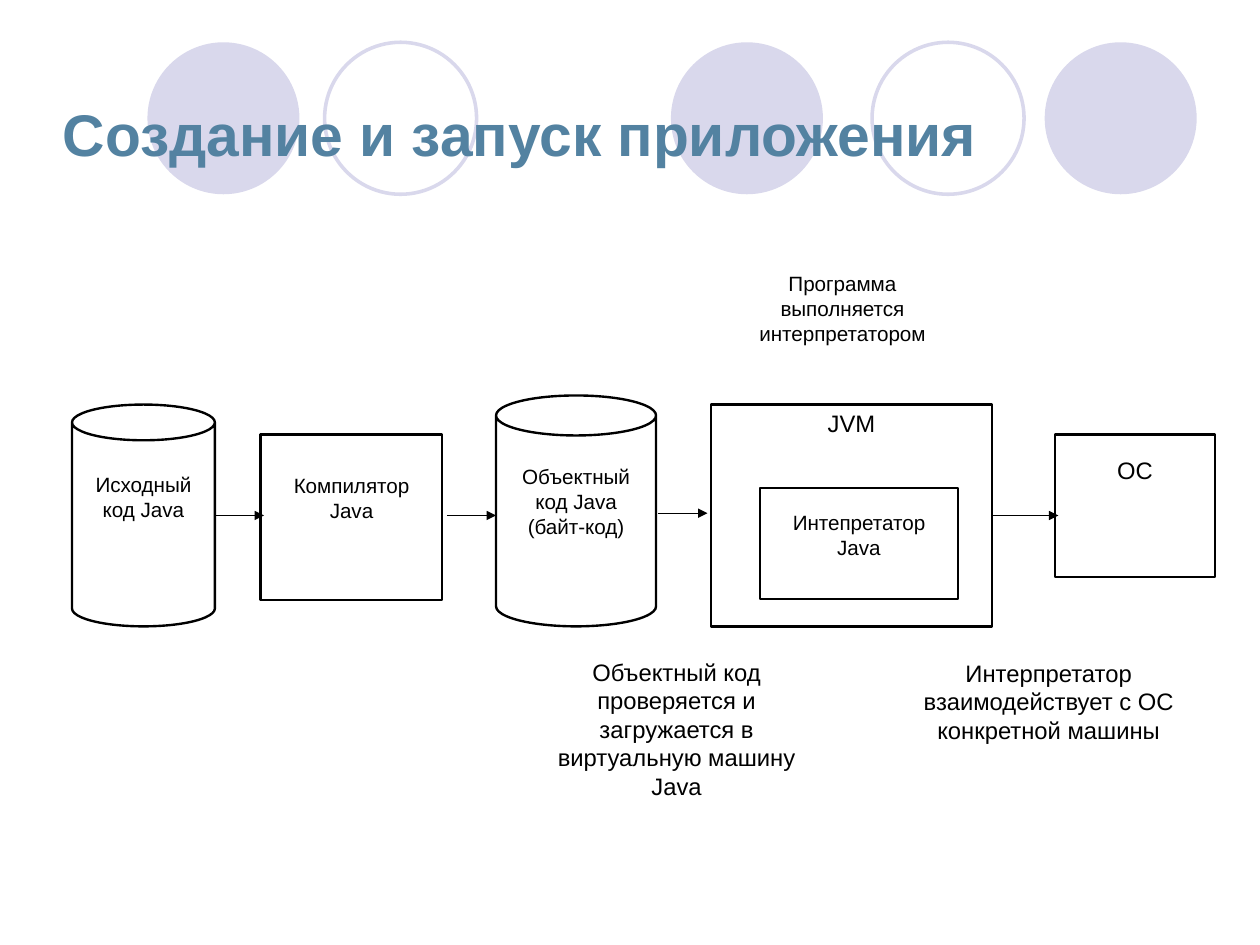
from pptx import Presentation, util as u
from pptx.dml.color import RGBColor
from pptx.enum import shapes as sh, text as tx
from pptx.oxml.ns import qn
from lxml import etree

HUES = {"lilac": "D9D8EC", "steel": "5382A1", "black": "000000", "white": "FFFFFF"}
FONT = "Arial"
KIND = sh.MSO_SHAPE


def hue(name):
    return RGBColor.from_string(HUES[name])


def write(shape, lines, size, top=0.04):
    """Fill a shape with centred black text that starts below a top inset."""
    frame = shape.text_frame
    frame.word_wrap = True
    frame.vertical_anchor = tx.MSO_ANCHOR.TOP
    frame.margin_left = frame.margin_right = u.Inches(0.08)
    frame.margin_top, frame.margin_bottom = u.Inches(top), u.Inches(0.04)
    for i, line in enumerate(lines):
        para = frame.add_paragraph() if i else frame.paragraphs[0]
        para.alignment = tx.PP_ALIGN.CENTER
        run = para.add_run()
        run.text = line
        run.font.name, run.font.size = FONT, u.Pt(size)
        run.font.color.rgb = hue("black")


# Slide of 28 by 21 centimetres
prs = Presentation()
prs.slide_width, prs.slide_height = u.Inches(28 / 2.54), u.Inches(21 / 2.54)
slide = prs.slides.add_slide(prs.slide_layouts[5])
parts = slide.shapes

# Row of circles behind the title
for left, solid in [(1.29, True), (2.84, False), (5.87, True), (7.63, False), (9.14, True)]:
    disc = parts.add_shape(KIND.OVAL, u.Inches(left), u.Inches(0.37),
                           u.Inches(1.33), u.Inches(1.33))
    disc.shadow.inherit = False
    if solid:
        disc.fill.solid()
        disc.fill.fore_color.rgb = hue("lilac")
        disc.line.fill.background()
    else:
        disc.fill.background()
        disc.line.color.rgb = hue("lilac")
        disc.line.width = u.Pt(2.25)

# Title, brought in front of the circles
title = parts.title
title.element.getparent().append(title.element)
title.left, title.top = u.Inches(0.55), u.Inches(1.13)
title.width, title.height = u.Inches(9.99), u.Inches(0.3)
frame = title.text_frame
frame.margin_left = frame.margin_right = frame.margin_top = frame.margin_bottom = 0
frame.vertical_anchor = tx.MSO_ANCHOR.MIDDLE
frame.auto_size = tx.MSO_AUTO_SIZE.SHAPE_TO_FIT_TEXT
frame.word_wrap = True
para = frame.paragraphs[0]
para.alignment = tx.PP_ALIGN.LEFT
para.line_spacing = 0.49
run = para.add_run()
run.text = "Создание и запуск приложения"
run.font.name, run.font.size, run.font.bold = FONT, u.Pt(37), True
run.font.color.rgb = hue("steel")

# Stages: kind, place, lines, size, top inset
stages = [
    (KIND.CAN, (0.63, 3.54, 1.25, 1.94), ["Исходный код Java"], 13, 0.28),
    (KIND.RECTANGLE, (2.28, 3.8, 1.59, 1.45), ["Компилятор Java"], 13, 0.34),
    (KIND.CAN, (4.34, 3.46, 1.4, 2.02), ["Объектный код Java", "(байт-код)"], 13, 0.25),
    (KIND.RECTANGLE, (6.22, 3.54, 2.46, 1.94), ["JVM"], 15, 0.04),
    (KIND.RECTANGLE, (6.65, 4.27, 1.73, 0.97), ["Интепретатор Java"], 13, 0.19),
    (KIND.RECTANGLE, (9.23, 3.8, 1.4, 1.25), ["ОС"], 15, 0.19),
]
drawn = []
for kind, place, lines, size, top in stages:
    stage = parts.add_shape(kind, *map(u.Inches, place))
    stage.shadow.inherit = False
    stage.fill.solid()
    stage.fill.fore_color.rgb = hue("white")
    stage.line.color.rgb = hue("black")
    stage.line.width = u.Pt(1.5)
    write(stage, lines, size, top)
    drawn.append(stage)
jvm = drawn[3]

# Arrows: start, end, height, shape joined at the start
for start, end, y, source in [(1.88, 2.31, 4.51, None), (3.91, 4.34, 4.51, None),
                              (5.76, 6.19, 4.49, None), (8.68, 9.26, 4.51, jvm)]:
    arrow = parts.add_connector(sh.MSO_CONNECTOR.STRAIGHT, u.Inches(start), u.Inches(y),
                                u.Inches(end), u.Inches(y))
    if source is not None:
        arrow.begin_connect(source, 3)
    arrow.line.color.rgb = hue("black")
    arrow.line.width = u.Pt(0.75)
    etree.SubElement(arrow.line._get_or_add_ln(), qn("a:tailEnd"), type="triangle")
    etree.SubElement(arrow.element.spPr, qn("a:effectLst"))

# Notes around the diagram
for place, words, size in [
    ((4.7, 5.71, 2.44, 1.28),
     "Объектный код проверяется и загружается в виртуальную машину Java", 15),
    ((6.36, 2.33, 2.02, 0.97), "Программа выполняется интерпретатором", 13),
    ((7.67, 5.72, 3.01, 1.19), "Интерпретатор взаимодействует с ОС конкретной машины", 15),
]:
    write(parts.add_textbox(*map(u.Inches, place)), [words], size)

prs.save("out.pptx")
